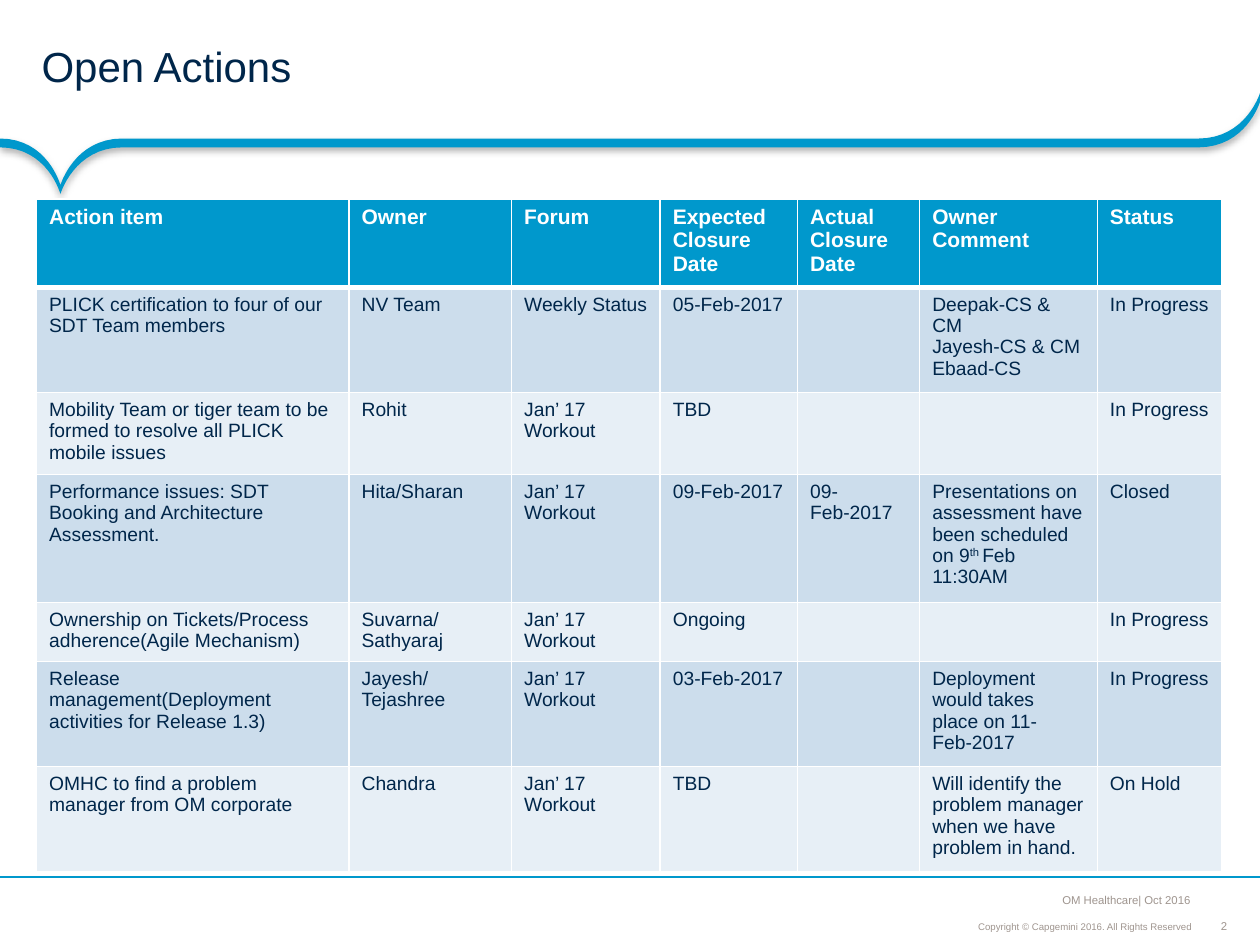
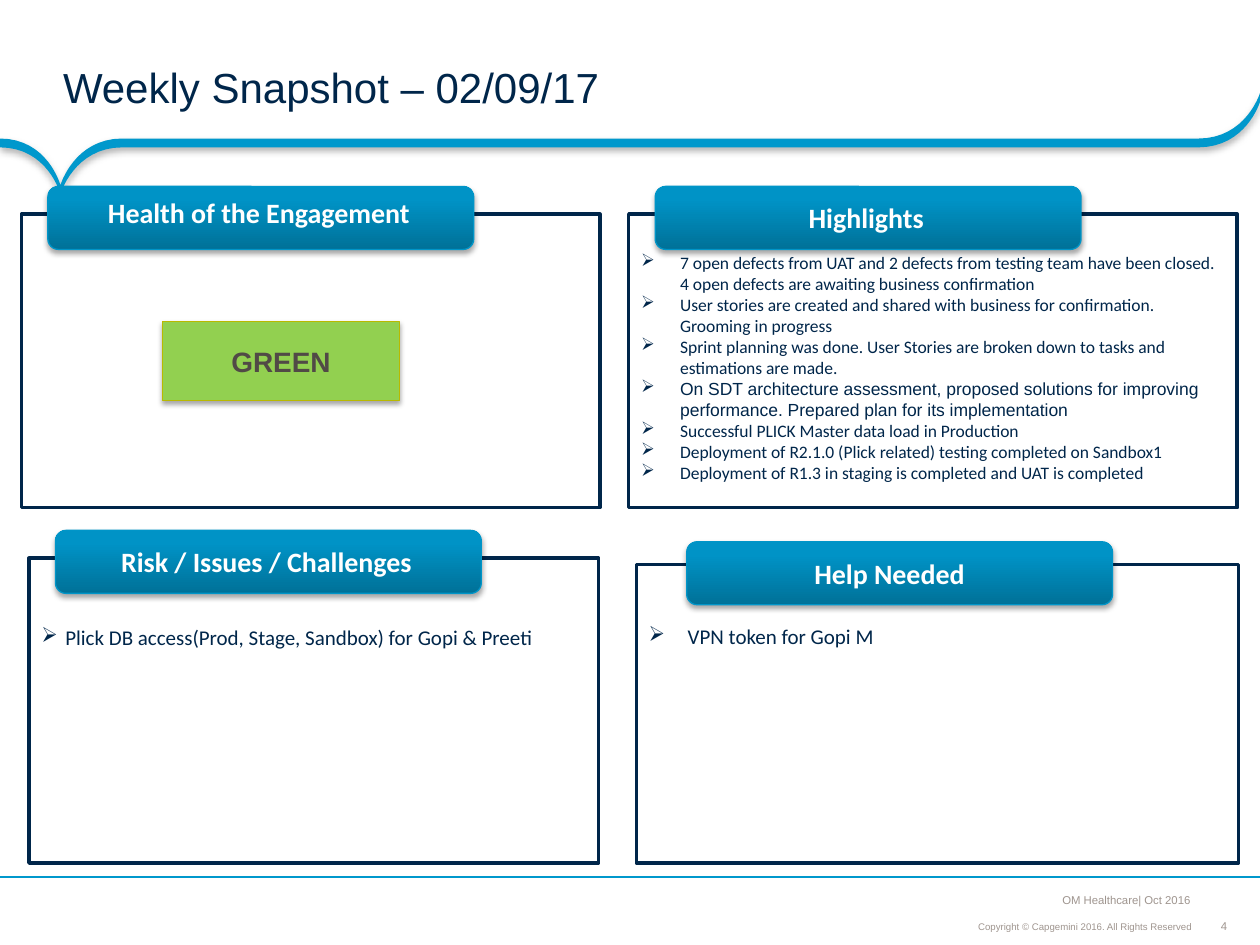
from copy import deepcopy
from dataclasses import dataclass

from lxml.etree import SubElement
from pptx import Presentation
from pptx.dml.color import RGBColor
from pptx.enum.shapes import MSO_CONNECTOR, MSO_SHAPE
from pptx.enum.text import MSO_ANCHOR, PP_ALIGN
from pptx.oxml.ns import qn
from pptx.util import Inches, Pt

COLORS = {
    "blue": "0098CC", "navy": "00264A", "white": "FFFFFF", "gray": "9F958F",
    "band_dark": "CCDDEC", "band_light": "E7EFF6",
    "tab_dark": "007198", "tab_mid": "0093C6", "tab_light": "0094C7", "tab_line": "0095C8",
    "green": "92D050", "olive": "B9B900", "brown": "514A46", "black": "000000",
}

# The page is a grid of 100 columns by 75 rows of square cells
SLIDE_WIDTH, SLIDE_HEIGHT = Inches(10), Inches(7.5)
CELL = SLIDE_WIDTH // 100


@dataclass(frozen=True)
class Area:
    column: float
    row: float
    columns: float
    rows: float

    def lengths(self) -> tuple[int, ...]:
        return tuple(cells(n) for n in (self.column, self.row, self.columns, self.rows))


@dataclass(frozen=True)
class Style:
    size: float
    color: str
    font: str = "Arial"
    bold: bool = False
    align: PP_ALIGN = PP_ALIGN.LEFT
    anchor: MSO_ANCHOR = MSO_ANCHOR.TOP
    spacing: float = 1.0


@dataclass(frozen=True)
class Shadow:
    opacity: int
    blur: float
    distance: float


@dataclass(frozen=True)
class Panel:
    caption: str
    frame: Area
    tab: Area
    caption_area: Area
    bullet_area: Area | None = None
    bullets: tuple[str, ...] = ()
    bullet_size: float = 12
    indent: float = 3.1


TITLE = Style(24, "navy", anchor=MSO_ANCHOR.MIDDLE, spacing=0.85)
FOOTER = Style(6.5, "gray", align=PP_ALIGN.RIGHT, anchor=MSO_ANCHOR.BOTTOM)
COPYRIGHT = Style(5.5, "gray", align=PP_ALIGN.RIGHT, anchor=MSO_ANCHOR.BOTTOM, spacing=0.9)
PAGE_NUMBER = Style(6.5, "gray", align=PP_ALIGN.CENTER, anchor=MSO_ANCHOR.MIDDLE)
HEADER_CELL = Style(12, "white", bold=True)
BODY_CELL = Style(11, "navy")
CAPTION = Style(16, "white", "Calibri", True, PP_ALIGN.CENTER)
STATUS = Style(16, "brown", bold=True, align=PP_ALIGN.CENTER, anchor=MSO_ANCHOR.MIDDLE)

WAVE_SHADOW = Shadow(31, 4, 2)
SHAPE_SHADOW = Shadow(35, 3.1, 1.8)

COLUMN_WIDTHS = (24.8, 12.9, 11.8, 10.9, 9.7, 14.1, 9.9)
ROW_HEIGHTS = (7, 8, 6.5, 10.1, 4.6, 8, 8.3)
# Text between two carets is superscript
ACTIONS = (
    ("Action item", "Owner", "Forum", "Expected Closure Date", "Actual Closure Date",
     "Owner Comment", "Status"),
    ("PLICK certification to four of our SDT Team members", "NV Team", "Weekly Status",
     "05-Feb-2017", "", "Deepak-CS & CM\nJayesh-CS & CM\nEbaad-CS", "In Progress"),
    ("Mobility Team or tiger team to be formed to resolve all PLICK mobile issues", "Rohit",
     "Jan’ 17 Workout", "TBD", "", "", "In Progress"),
    ("Performance issues: SDT Booking and Architecture Assessment.", "Hita/Sharan",
     "Jan’ 17 Workout", "09-Feb-2017", "09-Feb-2017",
     "Presentations on assessment have been scheduled on 9^th ^Feb 11:30AM", "Closed"),
    ("Ownership on Tickets/Process adherence(Agile Mechanism)", "Suvarna/Sathyaraj",
     "Jan’ 17 Workout", "Ongoing", "", "", "In Progress"),
    ("Release management(Deployment activities for Release 1.3)", "Jayesh/Tejashree",
     "Jan’ 17 Workout", "03-Feb-2017", "", "Deployment would takes place on 11-Feb-2017",
     "In Progress"),
    ("OMHC to find a problem manager from OM corporate", "Chandra", "Jan’ 17 Workout", "TBD",
     "", "Will identify the problem manager when we have problem in hand.", "On Hold"),
)

ARIAL_BULLET = ("On SDT architecture assessment, proposed solutions for improving performance. "
                "Prepared plan for its implementation")
PANELS = (
    Panel("Health of the Engagement", Area(1.7, 17, 45.9, 23.3), Area(3.8, 14.8, 33.8, 5),
          Area(6.9, 15, 27.3, 3.7)),
    Panel("Highlights", Area(49.9, 17, 48.3, 23.3), Area(52, 14.8, 33.8, 5),
          Area(62.8, 15.4, 11.9, 3.7), Area(49.9, 19.5, 48.3, 20.8), (
              "7 open defects from UAT and 2 defects from testing team have been closed. "
              "4 open defects are awaiting business confirmation",
              "User stories are created and shared with business for confirmation. "
              "Grooming in progress",
              "Sprint planning was done. User Stories are broken down to tasks and "
              "estimations are made.",
              ARIAL_BULLET,
              "Successful PLICK Master data load in Production",
              "Deployment of R2.1.0 (Plick related) testing completed on Sandbox1",
              "Deployment of R1.3 in staging is completed and UAT is completed",
          ), 10),
    Panel("Help Needed", Area(50.5, 44.8, 47.8, 23.7), Area(54.5, 43, 33.8, 5),
          Area(63.4, 43.7, 14.4, 3.7), Area(50.5, 49, 47.8, 7.1), ("VPN token for Gopi M",)),
    Panel("Risk / Issues / Challenges", Area(2.3, 44.3, 45.2, 24.2), Area(4.4, 42.1, 33.8, 5),
          Area(8.4, 42.7, 25.5, 3.7), Area(2.3, 49.1, 45.2, 7.1),
          ("Plick DB access(Prod, Stage, Sandbox) for Gopi & Preeti",), indent=1.9),
)


def cells(count: float) -> int:
    return round(count * CELL)


def rgb(name: str) -> RGBColor:
    return RGBColor.from_string(COLORS[name])


def paint(target, color: str) -> None:
    target.fill.solid()
    target.fill.fore_color.rgb = rgb(color)


def outline(shape, color: str, width: float) -> None:
    shape.line.color.rgb = rgb(color)
    shape.line.width = Pt(width)


def cast_shadow(shape, shadow: Shadow) -> None:
    effects = shape._element.spPr.find(qn("a:effectLst"))
    outer = SubElement(effects, qn("a:outerShdw"), blurRad=str(Pt(shadow.blur)),
                       dist=str(Pt(shadow.distance)), dir="5400000", rotWithShape="0")
    tint = SubElement(outer, qn("a:srgbClr"), val=COLORS["black"])
    SubElement(tint, qn("a:alpha"), val=str(shadow.opacity * 1000))


def format_text(frame, style: Style) -> None:
    for para in frame.paragraphs:
        para.alignment = style.align
        para.line_spacing = style.spacing
        para.font.size = Pt(style.size)
        for span in para.runs:
            span.font.name = style.font
            span.font.size = Pt(style.size)
            span.font.bold = style.bold
            span.font.color.rgb = rgb(style.color)


def set_margins(frame, left: float, top: float, right: float, bottom: float) -> None:
    frame.margin_left, frame.margin_top = cells(left), cells(top)
    frame.margin_right, frame.margin_bottom = cells(right), cells(bottom)


def fill_frame(frame, text: str, style: Style) -> None:
    frame.text = text
    frame.vertical_anchor = style.anchor
    format_text(frame, style)


def add_text(page, area: Area, text: str, style: Style, margin: float | None = None,
             wrap: bool = True):
    frame = page.shapes.add_textbox(*area.lengths()).text_frame
    frame.word_wrap = wrap
    if margin is not None:
        set_margins(frame, margin, margin, margin, margin)
    fill_frame(frame, text, style)
    return frame


def add_block(page, kind: MSO_SHAPE, area: Area):
    shape = page.shapes.add_shape(kind, *area.lengths())
    shape.shadow.inherit = False
    return shape


# Shared page furniture

def curve(start, first, second, end, steps: int = 16) -> list[tuple[float, float]]:
    points = []
    for step in range(steps + 1):
        t = step / steps
        weights = ((1 - t) ** 3, 3 * t * (1 - t) ** 2, 3 * t * t * (1 - t), t ** 3)
        points.append(tuple(sum(w * p[axis] for w, p in zip(weights, (start, first, second, end)))
                            for axis in (0, 1)))
    return points


def add_wave(page) -> None:
    tip, corner = (4.8, 14.7), (100, 7.4)
    upper = (curve((0, 11), (3.8, 11), tip, tip)
             + curve(tip, tip, (5.9, 11), (9.7, 11))
             + curve((95.1, 11), (98.9, 11), corner, corner))
    lower = [(x, y + 0.7) for x, y in reversed(upper)]
    points = [(cells(x), cells(y)) for x, y in upper + lower]
    builder = page.shapes.build_freeform(*points[0])
    builder.add_line_segments(points[1:], close=True)
    wave = builder.convert_to_shape()
    wave.shadow.inherit = False
    paint(wave, "blue")
    wave.line.fill.background()
    cast_shadow(wave, WAVE_SHADOW)


def add_page(deck, title: str, title_area: Area, number: int):
    page = deck.slides.add_slide(deck.slide_layouts[5])
    heading = page.shapes.title
    heading.left, heading.top, heading.width, heading.height = title_area.lengths()
    set_margins(heading.text_frame, 3.3, 0.4, 1.8, 0.4)
    fill_frame(heading.text_frame, title, TITLE)

    add_wave(page)
    rule = page.shapes.add_connector(MSO_CONNECTOR.STRAIGHT, SLIDE_WIDTH, cells(69.6),
                                     0, cells(69.6))
    outline(rule, "blue", 0.75)
    SubElement(rule._element.spPr, qn("a:effectLst"))
    add_text(page, Area(75.6, 70.3, 19.3, 2.1), "OM Healthcare| Oct 2016", FOOTER, 0.4)
    add_text(page, Area(68.1, 72.4, 26.9, 2),
             "Copyright © Capgemini 2016. All Rights Reserved", COPYRIGHT, 0.4)
    add_text(page, Area(96.6, 72.9, 1.1, 1.1), str(number), PAGE_NUMBER, 0, wrap=False)
    return page


# Action table

def add_borders(cell, top: float, bottom: float) -> None:
    properties = cell._tc.get_or_add_tcPr()
    for side, width in (("L", 1), ("R", 1), ("T", top), ("B", bottom)):
        line = SubElement(properties, qn(f"a:ln{side}"), w=str(Pt(width)))
        fill = SubElement(line, qn("a:solidFill"))
        SubElement(fill, qn("a:srgbClr"), val=COLORS["white"])


def fill_cell(cell, text: str, row: int) -> None:
    add_borders(cell, 3 if row == 1 else 1, 3 if row == 0 else 1)
    paint(cell, "blue" if row == 0 else "band_dark" if row % 2 else "band_light")
    plain, *marked = text.split("^")
    cell.text_frame.text = plain
    for position, part in enumerate(marked):
        span = cell.text_frame.paragraphs[0].add_run()
        span.text = part
        if position % 2 == 0:
            span.font._element.set("baseline", "30000")
    format_text(cell.text_frame, BODY_CELL if row else HEADER_CELL)


def add_action_table(page) -> None:
    area = Area(2.9, 15.8, sum(COLUMN_WIDTHS), sum(ROW_HEIGHTS))
    table = page.shapes.add_table(len(ACTIONS), len(COLUMN_WIDTHS), *area.lengths()).table
    for column, width in zip(table.columns, COLUMN_WIDTHS):
        column.width = cells(width)
    for row, (height, texts) in enumerate(zip(ROW_HEIGHTS, ACTIONS)):
        table.rows[row].height = cells(height)
        for column, text in enumerate(texts):
            fill_cell(table.cell(row, column), text, row)


# Snapshot panels

def shade_tab(tab) -> None:
    tab.fill.gradient()
    tab.fill.gradient_angle = 90
    stop_list = tab._element.spPr.find(f".//{qn('a:gsLst')}")
    stop_list.append(deepcopy(stop_list[0]))
    shades = ((0, "tab_dark"), (0.8, "tab_mid"), (1, "tab_light"))
    for stop, (position, color) in zip(tab.fill.gradient_stops, shades):
        stop.position = position
        stop.color.rgb = rgb(color)


def add_bullets(page, panel: Panel) -> None:
    style = Style(panel.bullet_size, "navy", "Calibri")
    frame = add_text(page, panel.bullet_area, "\n".join(panel.bullets), style)
    for para in frame.paragraphs:
        properties = para._p.get_or_add_pPr()
        properties.set("marL", str(cells(panel.indent)))
        properties.set("indent", str(-cells(panel.indent)))
        bullet = properties.makeelement(qn("a:buChar"), {"char": "➢"})
        properties.find(qn("a:defRPr")).addprevious(bullet)
        if para.text == ARIAL_BULLET:
            para.runs[0].font.name = "Arial"


def add_panel(page, panel: Panel) -> None:
    frame = add_block(page, MSO_SHAPE.RECTANGLE, panel.frame)
    paint(frame, "white")
    outline(frame, "navy", 2)
    tab = add_block(page, MSO_SHAPE.ROUNDED_RECTANGLE, panel.tab)
    shade_tab(tab)
    outline(tab, "tab_line", 0.75)
    cast_shadow(tab, SHAPE_SHADOW)
    add_text(page, panel.caption_area, panel.caption, CAPTION, wrap=False)
    if panel.bullets:
        add_bullets(page, panel)


def add_status(page) -> None:
    status = add_block(page, MSO_SHAPE.RECTANGLE, Area(12.9, 25.5, 18.8, 6.3))
    paint(status, "green")
    outline(status, "olive", 0.75)
    cast_shadow(status, SHAPE_SHADOW)
    fill_frame(status.text_frame, "GREEN", STATUS)


def main() -> None:
    deck = Presentation()
    deck.slide_width, deck.slide_height = SLIDE_WIDTH, SLIDE_HEIGHT

    actions = add_page(deck, "Open Actions", Area(0, 0, 100, 11), 2)
    add_action_table(actions)

    snapshot = add_page(deck, "Weekly Snapshot – 02/09/17", Area(1.7, 1.7, 98.3, 11), 4)
    for panel in PANELS:
        add_panel(snapshot, panel)
    add_status(snapshot)

    deck.save("out.pptx")


if __name__ == "__main__":
    main()
